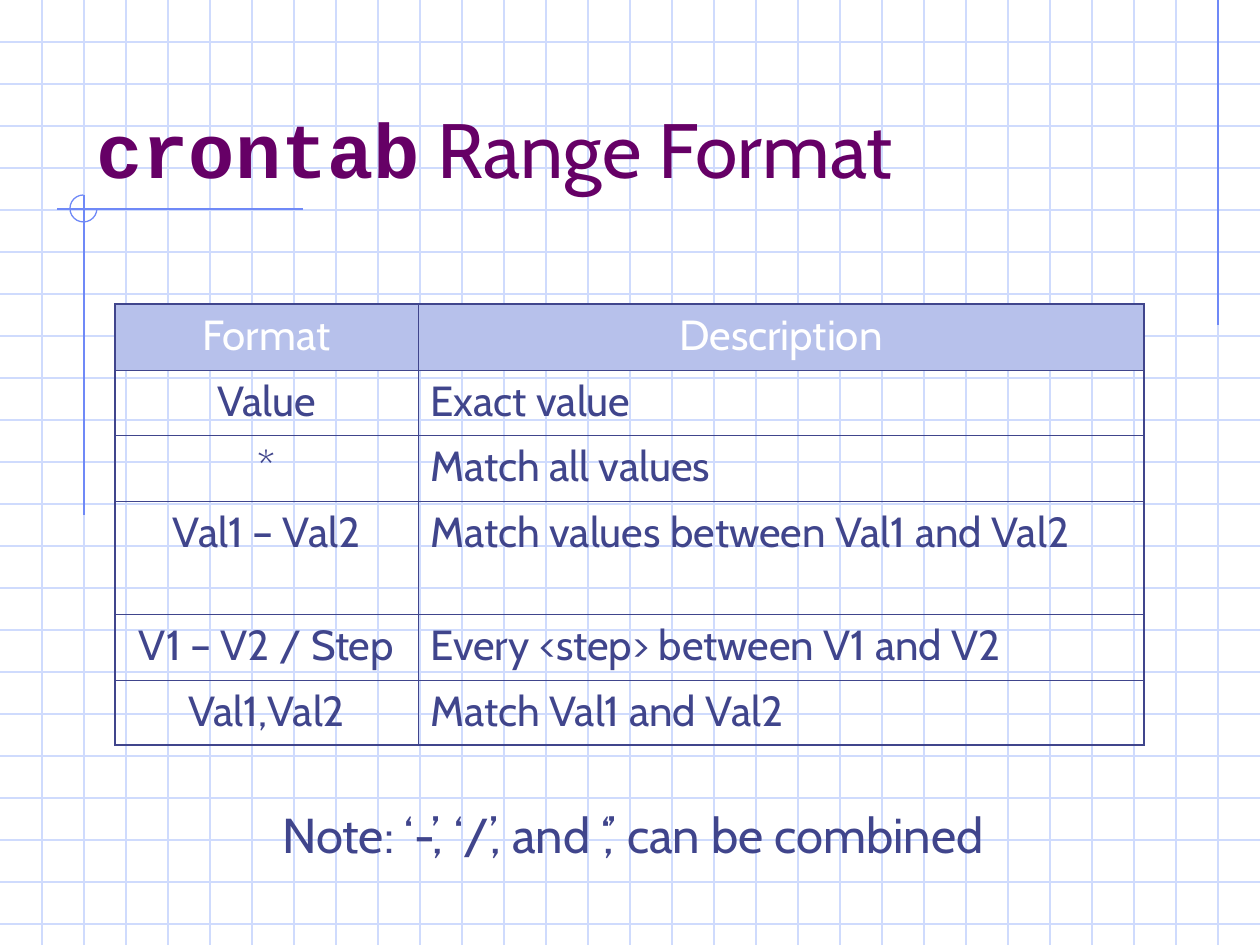
from typing import NamedTuple

from lxml import etree
from pptx import Presentation
from pptx import util as u
from pptx.dml.color import RGBColor
from pptx.enum import shapes, text
from pptx.oxml import ns

EMU_PER_PX = 914400 / 126
WIDTH, HEIGHT, GRID_STEP = 1260, 945, 42
GRID, ACCENT, INDIGO, PURPLE = "CFDBFD", "6F89F7", "40458C", "660066"
HEADER_FILL, WHITE = "B7C1EB", "FFFFFF"
BODY_FONT, CODE_FONT = "Cabin", "Courier New"
OUTER_BORDER, INNER_BORDER = 1.08, 0.45


class Rule(NamedTuple):
    x1: int
    y1: int
    x2: int
    y2: int
    color: str


class RangeRow(NamedTuple):
    pattern: str
    description: str
    height: int


GRID_RULES = [Rule(0, y, WIDTH, y, GRID) for y in range(GRID_STEP, HEIGHT, GRID_STEP)] + [
    Rule(x, 0, x, HEIGHT, GRID) for x in range(GRID_STEP, WIDTH, GRID_STEP)
]
ACCENT_RULES = [
    Rule(1218, 0, 1218, 325, ACCENT),
    Rule(303, 209, 57, 209, ACCENT),
    Rule(84, 195, 84, 515, ACCENT),
]
RANGE_ROWS = [
    RangeRow("Format", "Description", 66),
    RangeRow("Value", "Exact value", 65),
    RangeRow("*", "Match all values", 66),
    RangeRow("Val1 – Val2", "Match values between Val1 and Val2", 113),
    RangeRow("V1 – V2 / Step", "Every <step> between V1 and V2", 66),
    RangeRow("Val1,Val2", "Match Val1 and Val2", 65),
]
COLUMN_WIDTHS = [303, 726]


def px(length: int) -> u.Emu:
    return u.Emu(round(length * EMU_PER_PX))


def rgb(color: str) -> RGBColor:
    return RGBColor.from_string(color)


def set_font(font, size: int, color: str, name: str = BODY_FONT) -> None:
    font.name, font.size, font.bold = name, u.Pt(size), False
    font.color.rgb = rgb(color)


def draw_rule(slide, rule: Rule) -> None:
    line = slide.shapes.add_connector(
        shapes.MSO_CONNECTOR.STRAIGHT, px(rule.x1), px(rule.y1), px(rule.x2), px(rule.y2)
    )
    line.line.color.rgb = rgb(rule.color)
    line.line.width = u.Pt(0.75)
    etree.SubElement(line.element.spPr, ns.qn("a:effectLst"))


def draw_arc(slide) -> None:
    arc = slide.shapes.add_shape(shapes.MSO_SHAPE.ARC, px(70), px(195), px(27), px(27))
    # Three quarters of a turn, from the right clockwise to the top
    arc.adjustments[0], arc.adjustments[1] = 0, 162
    arc.fill.background()
    arc.line.color.rgb = rgb(ACCENT)
    arc.line.width = u.Pt(0.75)
    arc.shadow.inherit = False


def draw_title(slide) -> None:
    title = slide.shapes.title
    title.left, title.top, title.width, title.height = px(84), px(42), px(1071), px(158)
    # Bring the title in front of the grid
    title.element.getparent().append(title.element)
    frame = title.text_frame
    frame.word_wrap = True
    frame.auto_size = text.MSO_AUTO_SIZE.NONE
    frame.vertical_anchor = text.MSO_ANCHOR.BOTTOM
    paragraph = frame.paragraphs[0]
    paragraph.alignment = text.PP_ALIGN.LEFT
    command, rest = paragraph.add_run(), paragraph.add_run()
    command.text, rest.text = "crontab", " Range Format"
    set_font(command.font, 44, PURPLE, CODE_FONT)
    command.font.bold = True
    set_font(rest.font, 44, PURPLE)


def set_borders(cell, outer_sides: dict[str, bool]) -> None:
    properties = cell._tc.get_or_add_tcPr()
    for index, (side, is_outer) in enumerate(outer_sides.items()):
        width = u.Pt(OUTER_BORDER if is_outer else INNER_BORDER)
        border = etree.Element(ns.qn(f"a:{side}"), w=str(int(width)))
        fill = etree.SubElement(border, ns.qn("a:solidFill"))
        etree.SubElement(fill, ns.qn("a:srgbClr"), val=INDIGO)
        properties.insert(index, border)


def draw_range_table(slide) -> None:
    total_height = sum(row.height for row in RANGE_ROWS)
    table = slide.shapes.add_table(
        len(RANGE_ROWS), len(COLUMN_WIDTHS),
        px(115), px(304), px(sum(COLUMN_WIDTHS)), px(total_height),
    ).table
    table.first_row = table.horz_banding = False
    for column, width in zip(table.columns, COLUMN_WIDTHS):
        column.width = px(width)
    last_row, last_column = len(RANGE_ROWS) - 1, len(COLUMN_WIDTHS) - 1
    for r, row in enumerate(RANGE_ROWS):
        table.rows[r].height = px(row.height)
        for c, words in enumerate((row.pattern, row.description)):
            cell = table.cell(r, c)
            cell.text = words
            is_header = r == 0
            if is_header:
                cell.fill.solid()
                cell.fill.fore_color.rgb = rgb(HEADER_FILL)
            else:
                cell.fill.background()
            paragraph = cell.text_frame.paragraphs[0]
            centred = is_header or c == 0
            paragraph.alignment = text.PP_ALIGN.CENTER if centred else text.PP_ALIGN.LEFT
            set_font(paragraph.font, 24, WHITE if is_header else INDIGO)
            set_borders(cell, {
                "lnL": c == 0, "lnR": c == last_column,
                "lnT": r == 0, "lnB": r == last_row,
            })


def draw_note(slide) -> None:
    note = slide.shapes.add_textbox(px(270), px(798), px(820), px(72)).text_frame
    note.word_wrap = True
    note.text = "Note: ‘-’, ‘/’, and ‘,’ can be combined"
    set_font(note.paragraphs[0].font, 28, INDIGO)


def main() -> None:
    deck = Presentation()
    deck.slide_width, deck.slide_height = px(WIDTH), px(HEIGHT)
    slide = deck.slides.add_slide(deck.slide_layouts[5])

    # Graph paper and corner marks
    for rule in GRID_RULES + ACCENT_RULES:
        draw_rule(slide, rule)
    draw_arc(slide)

    # Content
    draw_title(slide)
    draw_range_table(slide)
    draw_note(slide)
    deck.save("out.pptx")


if __name__ == "__main__":
    main()
